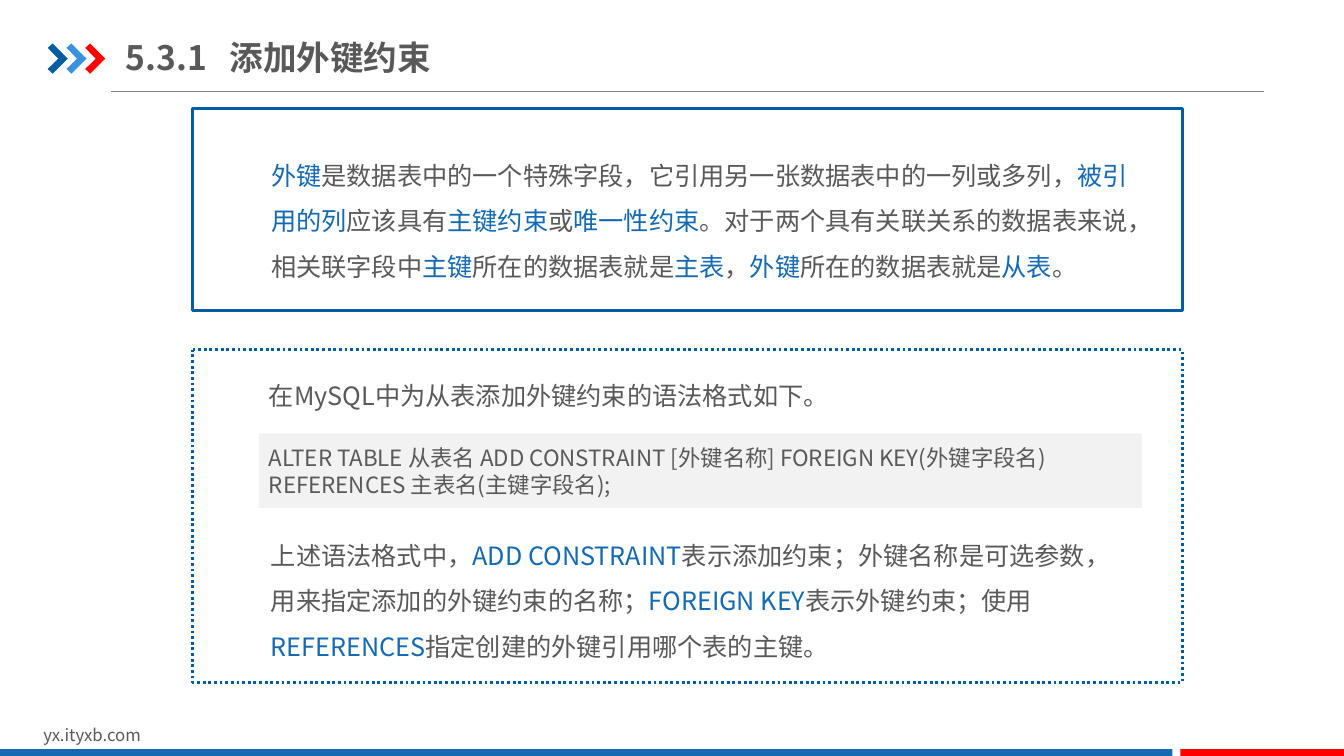
from dataclasses import dataclass

import lxml.etree
import pptx
import pptx.dml.color
import pptx.enum.dml
import pptx.enum.shapes
import pptx.enum.text
import pptx.oxml.ns
import pptx.presentation
import pptx.shapes.autoshape
import pptx.slide
import pptx.text.text
import pptx.util

Pt = pptx.util.Pt
RGBColor = pptx.dml.color.RGBColor
Shape = pptx.enum.shapes.MSO_SHAPE
Anchor = pptx.enum.text.MSO_ANCHOR
qn = pptx.oxml.ns.qn

FONT = "Noto Sans CJK SC"
WHITE = RGBColor(0xFF, 0xFF, 0xFF)
PALE_GREY = RGBColor(0xF2, 0xF2, 0xF2)
RULE_GREY = RGBColor(0x80, 0x80, 0x80)
TEXT_GREY = RGBColor(0x59, 0x59, 0x59)
DEEP_BLUE = RGBColor(0x00, 0x5D, 0xA2)
SKY_BLUE = RGBColor(0x39, 0x92, 0xDB)
BLUE = RGBColor(0x13, 0x69, 0xB2)
RED = RGBColor(0xFF, 0x00, 0x00)

CHEVRON_LEFT, CHEVRON_TOP, CHEVRON_STEP = 34.1, 31.1, 13.4
CHEVRON_OUTLINE = [(0, 3.2), (3.5, 0), (14.4, 10.8), (3.5, 21.6), (0, 18.2), (7.6, 10.8)]
TITLE_TAB = 74


@dataclass(frozen=True)
class Area:
    left: float
    top: float
    width: float
    height: float

    def lengths(self) -> tuple[pptx.util.Length, ...]:
        return Pt(self.left), Pt(self.top), Pt(self.width), Pt(self.height)


@dataclass(frozen=True)
class Block:
    """Text in an area; words between asterisks are highlighted."""
    area: Area
    paragraphs: tuple[str, ...]
    size: float = 18
    line_spacing: float | None = 1.5


@dataclass(frozen=True)
class Panel:
    area: Area
    fill: RGBColor
    preset: Shape = Shape.RECTANGLE
    outline: RGBColor | None = None
    dotted: bool = False


FOOTER_BARS = [
    Panel(Area(0, 535, 837.4, 6.5), BLUE),
    Panel(Area(843.1, 535, 117.4, 6.5), RED),
]
DEFINITION_PANEL = Panel(Area(137.5, 77.8, 707, 144), WHITE, Shape.FLOWCHART_PROCESS, DEEP_BLUE)
SYNTAX_PANEL = Panel(Area(137.5, 249.8, 707, 237.6), WHITE, Shape.FLOWCHART_PROCESS, DEEP_BLUE, True)
CODE_PANEL = Panel(Area(185, 309.6, 630.7, 53.3), PALE_GREY)

SITE = Block(Area(23.8, 514.1, 229, 21.6), ("yx.ityxb.com",), 12, None)
TITLE = Block(Area(90, 20.9, 334, 39.6), ("5.3.1\t添加外键约束",), 24, None)
DEFINITION = Block(Area(186.5, 100.1, 637.2, 105.1), (
    "*外键*是数据表中的一个特殊字段，它引用另一张数据表中的一列或多列，"
    "*被引用的列*应该具有*主键约束*或*唯一性约束*。"
    "对于两个具有关联关系的数据表来说，相关联字段中*主键*所在的数据表就是*主表*，"
    "*外键*所在的数据表就是*从表*。",))
EXPLANATION = Block(Area(186.5, 371.5, 629.3, 105.1), (
    "上述语法格式中，*ADD CONSTRAINT*表示添加约束；"
    "外键名称是可选参数，用来指定添加的外键约束的名称；"
    "*FOREIGN KEY*表示外键约束；使用*REFERENCES*指定创建的外键引用哪个表的主键。",))
CODE = Block(CODE_PANEL.area, (
    "ALTER TABLE 从表名 ADD CONSTRAINT [外键名称] FOREIGN KEY(外键字段名)",
    "REFERENCES 主表名(主键字段名);"), 16, None)
INTRODUCTION = Block(Area(185, 257, 622.8, 39.6), ("在MySQL中为从表添加外键约束的语法格式如下。",))


def write_text(frame: pptx.text.text.TextFrame, block: Block) -> None:
    frame.word_wrap = True
    for index, marked in enumerate(block.paragraphs):
        paragraph = frame.add_paragraph() if index else frame.paragraphs[0]
        paragraph.alignment = pptx.enum.text.PP_ALIGN.LEFT
        paragraph.line_spacing = block.line_spacing
        for position, words in enumerate(marked.split("*")):
            if not words:
                continue
            run = paragraph.add_run()
            run.text = words
            run.font.size = Pt(block.size)
            run.font.name = FONT
            run.font.color.rgb = BLUE if position % 2 else TEXT_GREY
            east_asian = lxml.etree.SubElement(run.font._element, qn("a:ea"))
            east_asian.set("typeface", FONT)


def add_text(slide: pptx.slide.Slide, block: Block) -> pptx.text.text.TextFrame:
    frame = slide.shapes.add_textbox(*block.area.lengths()).text_frame
    frame.auto_size = pptx.enum.text.MSO_AUTO_SIZE.SHAPE_TO_FIT_TEXT
    write_text(frame, block)
    return frame


def add_panel(slide: pptx.slide.Slide, panel: Panel) -> pptx.shapes.autoshape.Shape:
    shape = slide.shapes.add_shape(panel.preset, *panel.area.lengths())
    shape.shadow.inherit = False
    shape.fill.solid()
    shape.fill.fore_color.rgb = panel.fill
    if panel.outline is None:
        shape.line.fill.background()
    else:
        shape.line.color.rgb = panel.outline
        shape.line.width = Pt(2)
        if panel.dotted:
            shape.line.dash_style = pptx.enum.dml.MSO_LINE.ROUND_DOT
    return shape


def add_title_rule(slide: pptx.slide.Slide) -> None:
    rule = slide.shapes.add_connector(
        pptx.enum.shapes.MSO_CONNECTOR.STRAIGHT, Pt(79.2), Pt(65.5), Pt(903), Pt(65.5))
    rule.line.color.rgb = RULE_GREY
    rule.line.width = Pt(0.75)
    lxml.etree.SubElement(rule._element.spPr, qn("a:effectLst"))


def add_chevrons(slide: pptx.slide.Slide) -> None:
    for index, color in enumerate((DEEP_BLUE, SKY_BLUE, RED)):
        left = CHEVRON_LEFT + index * CHEVRON_STEP
        corners = [(Pt(left + x), Pt(CHEVRON_TOP + y)) for x, y in CHEVRON_OUTLINE]
        builder = slide.shapes.build_freeform(*corners[0])
        builder.add_line_segments(corners[1:], close=True)
        chevron = builder.convert_to_shape()
        chevron.shadow.inherit = False
        chevron.fill.solid()
        chevron.fill.fore_color.rgb = color
        chevron.line.fill.background()


def add_title(slide: pptx.slide.Slide) -> None:
    frame = add_text(slide, TITLE)
    frame.auto_size = pptx.enum.text.MSO_AUTO_SIZE.NONE
    frame.vertical_anchor = Anchor.MIDDLE
    frame.margin_left = frame.margin_right = Pt(0)
    frame.margin_top = frame.margin_bottom = Pt(5)
    heading = frame.paragraphs[0]
    heading.runs[0].font.bold = True
    tabs = lxml.etree.SubElement(heading._p.get_or_add_pPr(), qn("a:tabLst"))
    lxml.etree.SubElement(tabs, qn("a:tab"), pos=str(Pt(TITLE_TAB)), algn="l")


def build_slide(presentation: pptx.presentation.Presentation) -> None:
    slide = presentation.slides.add_slide(presentation.slide_layouts[6])
    add_title_rule(slide)
    add_chevrons(slide)
    add_text(slide, SITE)
    for bar in FOOTER_BARS:
        add_panel(slide, bar)
    add_panel(slide, DEFINITION_PANEL)
    add_text(slide, DEFINITION)
    add_title(slide)
    add_panel(slide, SYNTAX_PANEL)
    add_text(slide, EXPLANATION)
    code_frame = add_panel(slide, CODE_PANEL).text_frame
    code_frame.vertical_anchor = Anchor.MIDDLE
    write_text(code_frame, CODE)
    add_text(slide, INTRODUCTION)


def main() -> None:
    presentation = pptx.Presentation()
    presentation.slide_width = Pt(960)
    presentation.slide_height = Pt(540)
    build_slide(presentation)
    presentation.save("out.pptx")


if __name__ == "__main__":
    main()
